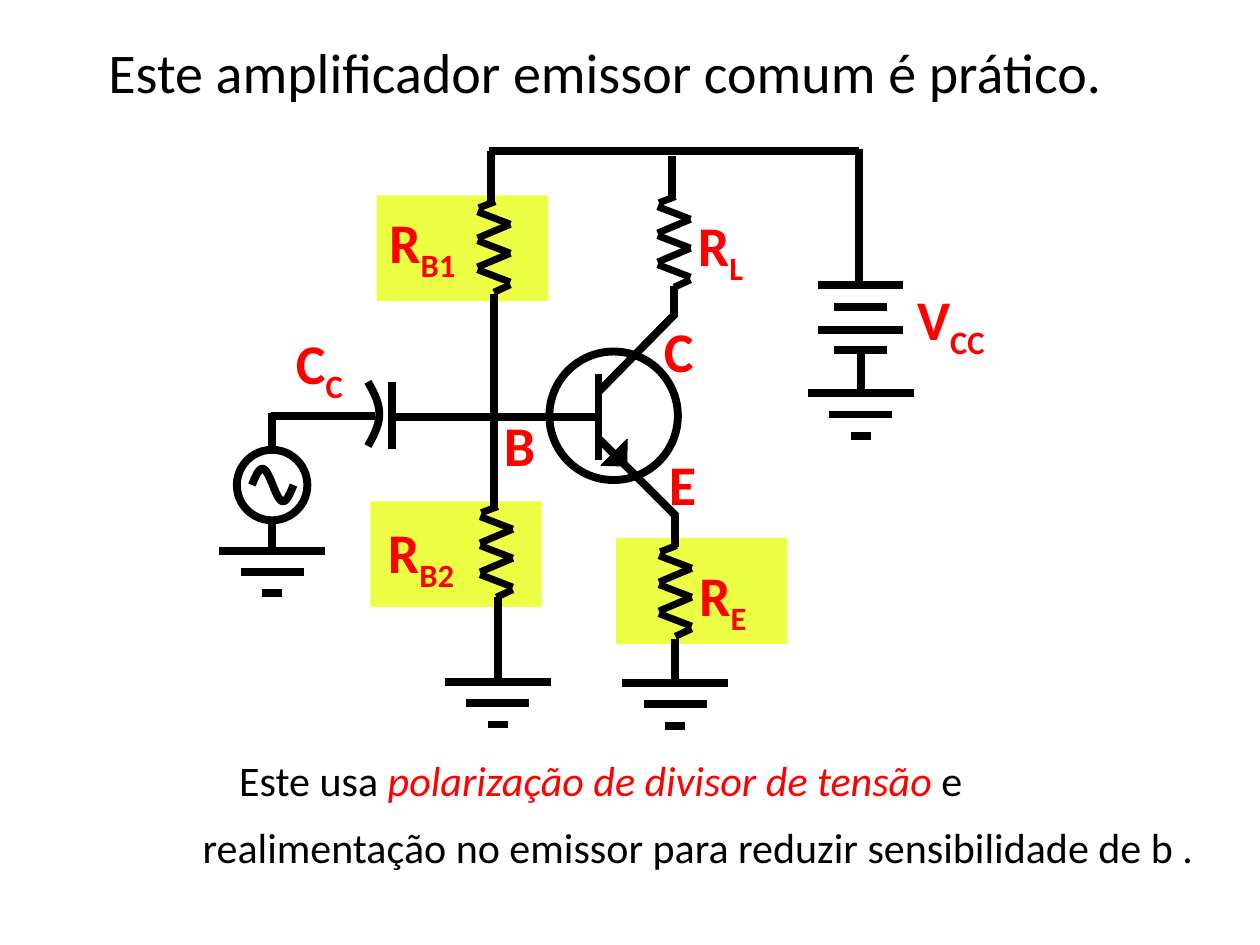
"""Build a slide with a common-emitter amplifier circuit."""
from math import pi, sin

from pptx import Presentation
from pptx.dml.color import RGBColor as RGB
from pptx.enum.shapes import MSO_CONNECTOR as LINK, MSO_SHAPE as FORM
from pptx.enum.text import MSO_ANCHOR as ANCHOR, MSO_AUTO_SIZE as FIT, PP_ALIGN as ALIGN
from pptx.oxml.ns import qn
from pptx.util import Inches, Pt

INK = {"black": "000000", "red": "FF0000", "lime": "EDFF45"}
INK = {name: RGB.from_string(code) for name, code in INK.items()}

deck = Presentation()
deck.slide_width, deck.slide_height = Inches(10), Inches(7.5)
slide = deck.slides.add_slide(deck.slide_layouts[5])
shapes = slide.shapes


def wire(x1, y1, x2, y2, width=4.5):
    line = shapes.add_connector(LINK.STRAIGHT, *map(Inches, (x1, y1, x2, y2)))
    line.line.color.rgb = INK["black"]
    line.line.width = Pt(width)
    props = line._element.spPr
    props.append(props.makeelement(qn("a:effectLst"), {}))


def paint(shape, fill=None, width=0):
    shape.shadow.inherit = False
    if fill:
        shape.fill.solid()
        shape.fill.fore_color.rgb = INK[fill]
    else:
        shape.fill.background()
    if width:
        shape.line.color.rgb = INK["black"]
        shape.line.width = Pt(width)
    else:
        shape.line.fill.background()


for x, y in [(4.89, 4.27), (2.94, 3.98), (2.99, 1.55)]:
    paint(shapes.add_shape(FORM.RECTANGLE, *map(Inches, (x, y, 1.36, 0.84))), "lime")

for x, y, size in [(4.36, 2.79, 1.02), (1.88, 3.57, 0.56)]:
    paint(shapes.add_shape(FORM.OVAL, *map(Inches, (x, y, size, size))), width=4.5)

arrow = shapes.add_shape(FORM.RIGHT_TRIANGLE, *map(Inches, (4.77, 3.49, 0.21, 0.2)))
arrow.rotation = 271.3
paint(arrow, "black", 0.75)

steps = [i / 24 for i in range(25)]
plate = [(2.92 + 0.09 * sin(pi * t), 3.03 + 0.51 * t) for t in steps]
wave = [(2 + 0.33 * t, 3.85 - 0.13 * sin(2 * pi * t)) for t in steps]
for curve in (plate, wave):
    dots = [(Inches(x), Inches(y)) for x, y in curve]
    pen = shapes.build_freeform(*dots[0])
    pen.add_line_segments(dots[1:], close=False)
    paint(pen.convert_to_shape(), width=4.5)

wires = [
    (4.76, 3.49, 5.37, 4.1), (4.74, 3.31, 3.14, 3.31),
    (4.75, 3.11, 5.36, 2.49), (4.75, 2.97, 4.75, 3.65),
    (3.11, 3.03, 3.11, 3.56), (3.92, 2.33, 3.92, 4.02),
    (5.35, 2.27, 5.35, 2.52), (5.36, 4.09, 5.36, 4.34),
    (6.83, 3.15, 6.83, 2.81), (3.88, 1.2, 6.82, 1.2),
    (6.82, 1.18, 6.82, 2.24), (3.9, 1.2, 3.9, 1.61),
    (5.33, 1.56, 5.33, 1.24), (2.98, 3.3, 2.15, 3.3),
    (2.16, 3.28, 2.16, 3.55), (2.16, 4.13, 2.16, 4.4),
    (3.95, 4.74, 3.95, 5.4), (5.36, 5.07, 5.36, 5.41),
]
for ends in wires:
    wire(*ends)

for y, half in [(2.26, 0.34), (2.44, 0.21), (2.62, 0.34), (2.78, 0.21)]:
    wire(6.83 - half, y, 6.83 + half, y)

for x, y in [(5.36, 5.42), (6.83, 3.12), (2.16, 4.37), (3.95, 5.41)]:
    for row, half in enumerate([0.42, 0.25, 0.08]):
        level = y + row * 0.17
        wire(x - half, level, x + half, level)

for x, y in [(5.22, 1.56), (3.79, 1.6), (5.23, 4.33), (3.81, 4.02)]:
    wire(x + 0.01, y + 0.05, x + 0.14, y, 4)
    for row in range(3):
        top = y + 0.08 + row * 0.23
        wire(x + 0.26, top + 0.1, x, top, 4)
        if row < 2:
            wire(x, top + 0.21, x + 0.26, top + 0.1, 4)
    wire(x + 0.13, y + 0.72, x + 0.26, y + 0.66, 4)

labels = [
    ("R", "B1", 2.99, 1.6, 0.78), ("C", "C", 2.25, 2.56, 0.6),
    ("E", "", 5.21, 3.52, 0.42), ("B", "", 3.9, 3.21, 0.45),
    ("C", "", 5.17, 2.46, 0.44), ("R", "L", 5.44, 1.62, 0.58),
    ("V", "CC", 7.18, 2.21, 0.77), ("R", "B2", 2.98, 4.06, 0.78),
    ("R", "E", 5.45, 4.4, 0.6),
]
for name, sub, x, y, width in labels:
    frame = shapes.add_textbox(*map(Inches, (x, y, width, 0.64))).text_frame
    frame.word_wrap, frame.auto_size = False, FIT.SHAPE_TO_FIT_TEXT
    para = frame.paragraphs[0]
    font = para.font
    font.name, font.size, font.bold = "Calibri", Pt(32), True
    font.color.rgb = INK["red"]
    para.add_run().text = name
    if sub:
        run = para.add_run()
        run.text = sub
        run._r.get_or_add_rPr().set("baseline", "-25000")

title = shapes.title
title.left, title.top, title.width, title.height = map(Inches, (0.76, 0.25, 8.33, 0.64))
first = shapes.add_textbox(*map(Inches, (1.8, 5.94, 7.64, 0.5)))
second = shapes.add_textbox(*map(Inches, (1.51, 6.47, 8.14, 0.5)))
texts = [
    (title, 32, False, ["Este amplificador emissor comum é prático."]),
    (first, 24, True, ["Este usa ", "polarização de divisor de tensão", " e"]),
    (second, 24, False, ["realimentação no emissor para reduzir sensibilidade de b ."]),
]
for box, size, wrap, parts in texts:
    frame = box.text_frame
    frame.word_wrap, frame.auto_size = wrap, FIT.SHAPE_TO_FIT_TEXT
    frame.vertical_anchor = ANCHOR.TOP
    para = frame.paragraphs[0]
    para.alignment = ALIGN.LEFT
    para.font.name, para.font.size = "Calibri", Pt(size)
    para.font.color.rgb = INK["black"]
    for part in parts:
        para.add_run().text = part

term = first.text_frame.paragraphs[0].runs[1].font
term.italic = True
term.color.rgb = INK["red"]

deck.save("out.pptx")
